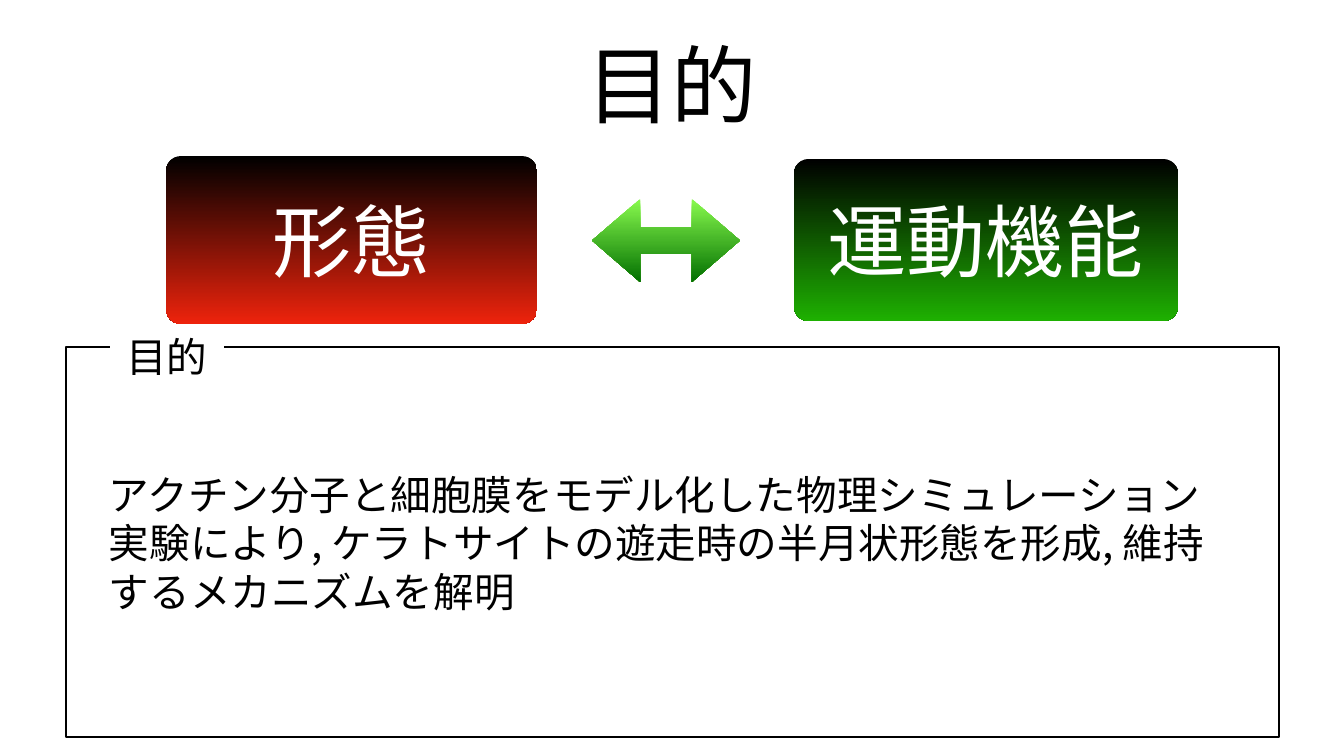
from pptx import Presentation
from pptx.dml.color import RGBColor
from pptx.enum.shapes import MSO_SHAPE
from pptx.enum.text import MSO_ANCHOR, PP_ALIGN
from pptx.oxml.ns import qn
from pptx.util import Emu, Pt

RECT, ROUND, ARROW = MSO_SHAPE.RECTANGLE, MSO_SHAPE.ROUNDED_RECTANGLE, MSO_SHAPE.LEFT_RIGHT_ARROW
LEFT, CENTER, MIDDLE = PP_ALIGN.LEFT, PP_ALIGN.CENTER, MSO_ANCHOR.MIDDLE

FONT = "Noto Sans CJK JP"
COLORS = {"black": "000000", "white": "FFFFFF", "red": "EE230C", "green": "1EB001",
          "light_green": "89FA4E", "dark_green": "027001"}
WIDTH, HEIGHT = 1344, 756
PX = 914400 / 50.4
INSET = 3

TITLE = ("目的", (93, 20, 1158, 126))
FRAME = (66, 347, 1213, 390)
BODY = ("アクチン分子と細胞膜をモデル化した物理シミュレーション実験により, "
        "ケラトサイトの遊走時の半月状形態を形成, 維持するメカニズムを解明", (106, 404, 1131, 277))
LABEL = ("目的", (110, 297, 114, 119))
CONCEPTS = [
    ("形態", (166, 156, 371, 168), 0.09, "red"),
    ("運動機能", (794, 159, 384, 162), 0.09, "green"),
]
LINK = (592, 199, 148, 83)


def px(n):
    return Emu(round(n * PX))


def rgb(name):
    return RGBColor.from_string(COLORS[name])


def add_shape(kind, box, adjustments=()):
    s = slide.shapes.add_shape(kind, *map(px, box))
    s.shadow.inherit = False
    s.line.fill.background()
    for i, value in enumerate(adjustments):
        s.adjustments[i] = value
    return s


def fill_gradient(s, top, bottom):
    s.fill.gradient()
    s.fill.gradient_angle = 270
    for stop, name in zip(s.fill.gradient_stops, (top, bottom)):
        stop.color.rgb = rgb(name)


def write(s, text, size, color="black", align=CENTER, before=0, inset=INSET):
    tf = s.text_frame
    tf.word_wrap = True
    tf.vertical_anchor = MIDDLE
    tf.margin_left = tf.margin_right = tf.margin_top = tf.margin_bottom = px(inset)
    p = tf.paragraphs[0]
    p.text = text
    p.alignment = align
    p.space_before = Pt(before)
    p.font.size = Pt(size)
    p.font.name = FONT
    p.font.color.rgb = rgb(color)
    for r in p.runs:
        ea = r.font._element.makeelement(qn("a:ea"), {"typeface": FONT})
        r.font._element.append(ea)


prs = Presentation()
prs.slide_width, prs.slide_height = px(WIDTH), px(HEIGHT)
slide = prs.slides.add_slide(prs.slide_layouts[6])

text, box = TITLE
write(slide.shapes.add_textbox(*map(px, box)), text, 122)

frame = add_shape(RECT, FRAME)
frame.fill.background()
frame.line.color.rgb = rgb("black")
frame.line.width = Pt(3)

text, box = BODY
write(slide.shapes.add_textbox(*map(px, box)), text, 58, align=LEFT, before=59)

text, box = LABEL
label = add_shape(RECT, box)
label.fill.solid()
label.fill.fore_color.rgb = rgb("white")
write(label, text, 58, before=59)

for text, box, radius, color in CONCEPTS:
    concept = add_shape(ROUND, box, [radius])
    fill_gradient(concept, "black", color)
    write(concept, text, 113, "white", inset=0)

link = add_shape(ARROW, LINK, [0.32, 0.58])
fill_gradient(link, "light_green", "dark_green")

prs.save("out.pptx")
